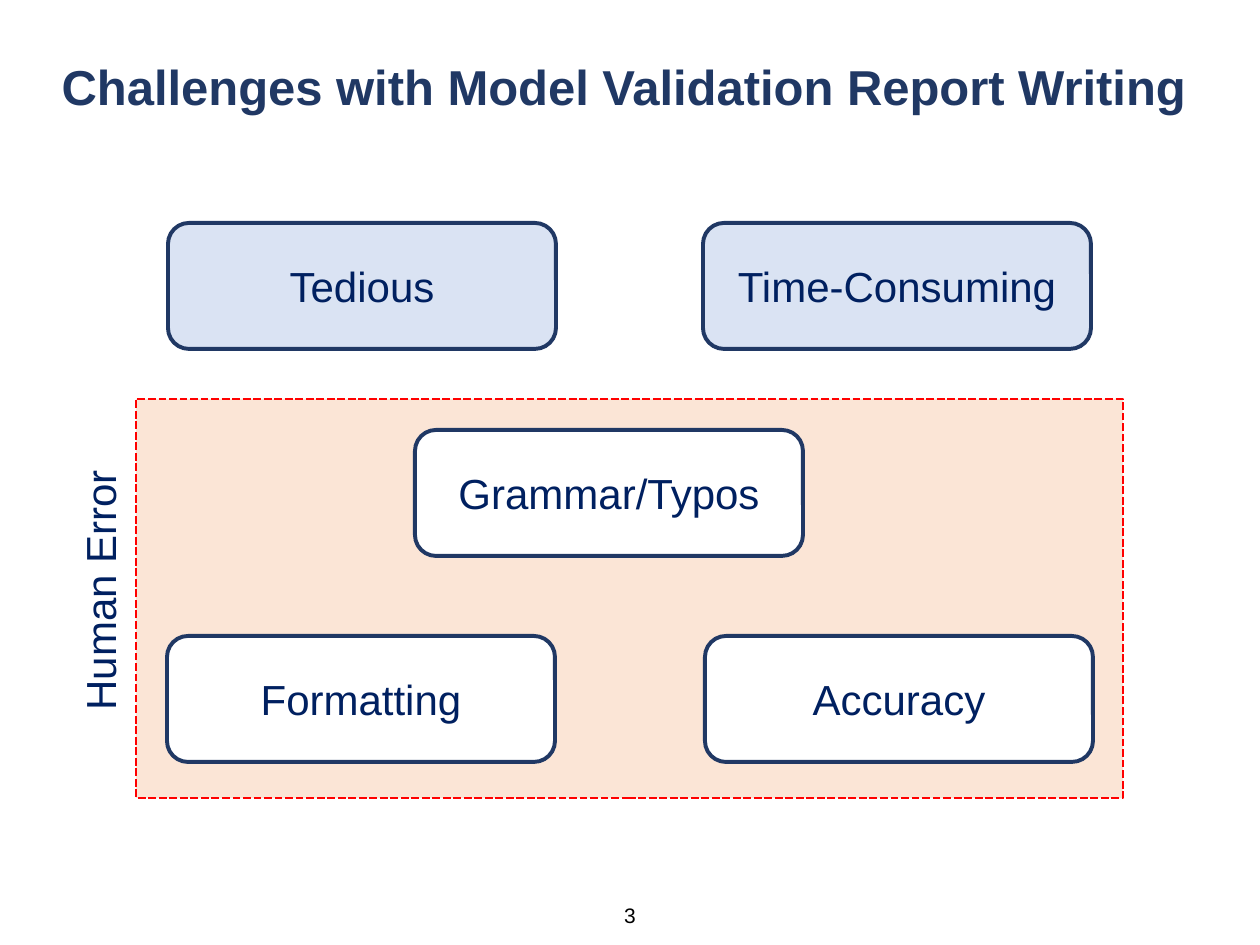
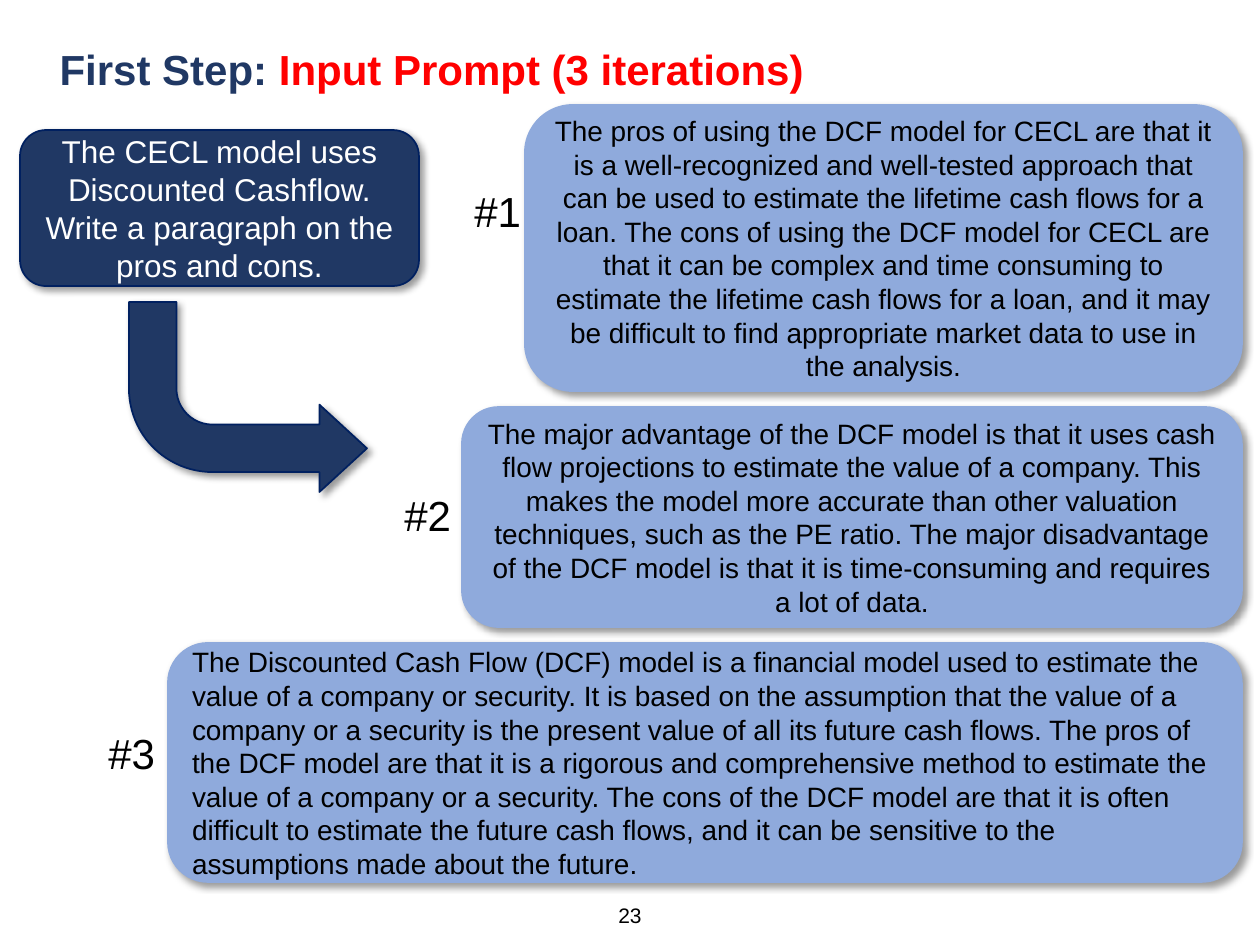
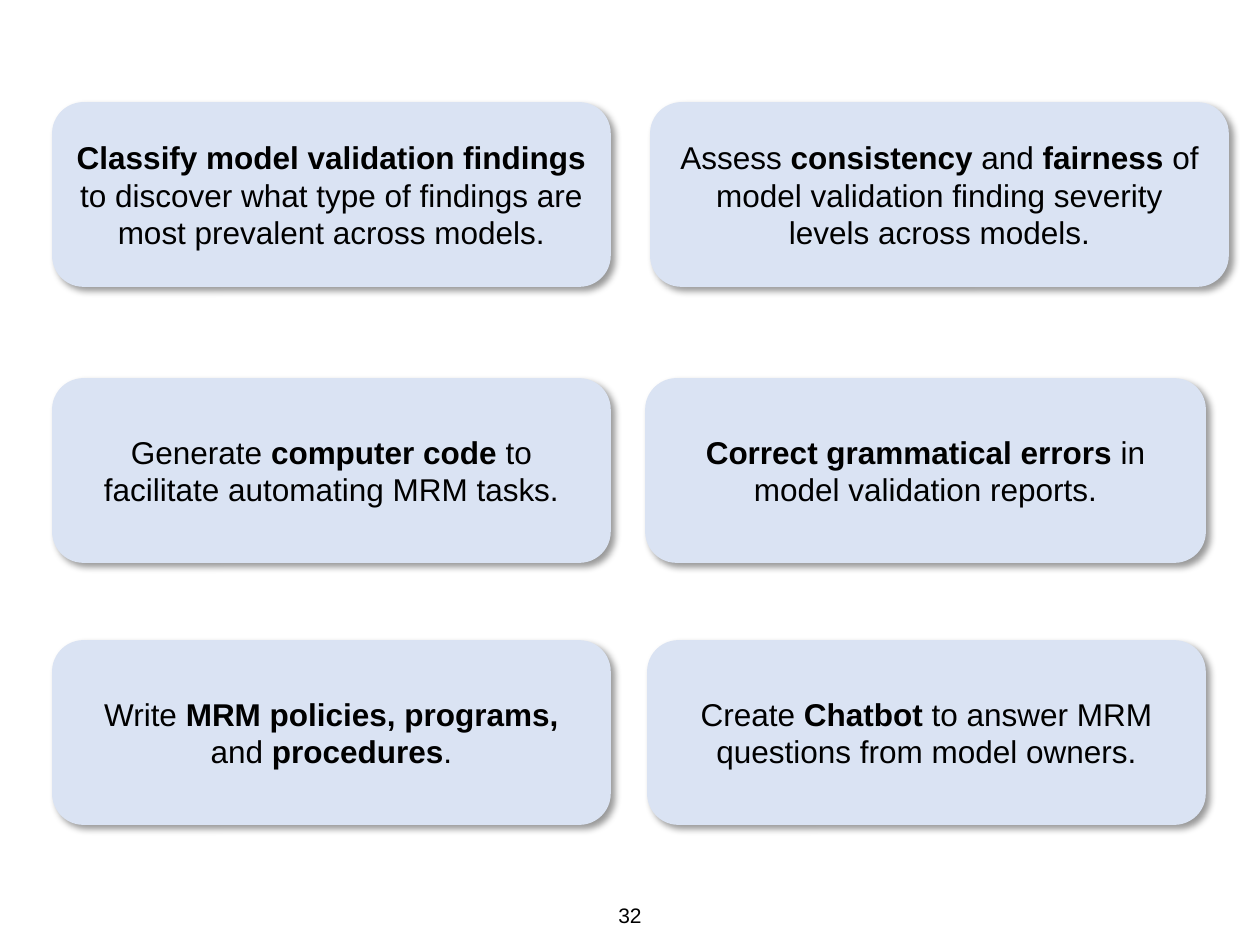
import pptx
import pptx.dml.color
import pptx.enum.dml
import pptx.enum.shapes
import pptx.enum.text
import pptx.oxml
import pptx.util

EMU_PER_PX = 914400 / 126
NAVY = "203864"
INK = "002060"
PALE = "DAE3F3"
BLUE = "8FAADC"
PEACH = "FBE5D6"
RED = "FF0000"
WHITE = "FFFFFF"
BLACK = "000000"
FONT = "Arial"
TITLE_ONLY, BLANK = 5, 6
SHAPES = pptx.enum.shapes.MSO_SHAPE
ALIGN = pptx.enum.text.PP_ALIGN
ANCHOR = pptx.enum.text.MSO_ANCHOR
SHADOW = (
    '<a:effectLst xmlns:a="http://schemas.openxmlformats.org/drawingml/2006/main">'
    '<a:outerShdw blurRad="50800" dist="38100" dir="2700000" algn="tl" rotWithShape="0">'
    '<a:srgbClr val="000000"><a:alpha val="40000"/></a:srgbClr>'
    '</a:outerShdw></a:effectLst>'
)


def px(length):
    return pptx.util.Emu(round(length * EMU_PER_PX))


def color(value):
    return pptx.dml.color.RGBColor.from_string(value)


class Deck:
    def __init__(self):
        self.presentation = pptx.Presentation()
        self.presentation.slide_width = px(1260)
        self.presentation.slide_height = px(945)
        self.slide = None

    def new_slide(self, number, layout=TITLE_ONLY):
        layouts = self.presentation.slide_layouts
        self.slide = self.presentation.slides.add_slide(layouts[layout])
        page = self.label(str(number), (609, 903, 42, 25), 12, BLACK, ALIGN.CENTER)
        frame = page.text_frame
        frame.margin_left = frame.margin_right = 0
        frame.margin_top = frame.margin_bottom = 0

    def set_text(self, shape, parts, size, text_color, align=ALIGN.LEFT, bold=False):
        paragraph = shape.text_frame.paragraphs[0]
        paragraph.alignment = align
        font = paragraph.font
        font.name, font.size, font.bold = FONT, pptx.util.Pt(size), bold
        font.color.rgb = color(text_color)
        runs = []
        for part in parts:
            run = paragraph.add_run()
            run.text = part
            runs.append(run)
        return runs

    def title(self, parts, area, size):
        shape = self.slide.shapes.title
        shape.left, shape.top, shape.width, shape.height = map(px, area)
        frame = shape.text_frame
        frame.auto_size = pptx.enum.text.MSO_AUTO_SIZE.NONE
        frame.vertical_anchor = ANCHOR.TOP
        return self.set_text(shape, parts, size, NAVY, bold=True)

    def label(self, text, area, size, text_color, align=ALIGN.LEFT, wrap=True):
        shape = self.slide.shapes.add_textbox(*map(px, area))
        shape.text_frame.word_wrap = wrap
        self.set_text(shape, [text], size, text_color, align)
        return shape

    def shape(self, kind, area, fill, line, line_width=1, shadow=False):
        shape = self.slide.shapes.add_shape(kind, *map(px, area))
        shape.shadow.inherit = False
        shape.fill.solid()
        shape.fill.fore_color.rgb = color(fill)
        shape.line.color.rgb = color(line)
        shape.line.width = pptx.util.Pt(line_width)
        if shadow:
            properties = shape.element.spPr
            properties.replace(properties.effectLst, pptx.oxml.parse_xml(SHADOW))
        return shape

    def card(self, parts, area, fill, line, size, text_color,
             align=ALIGN.CENTER, line_width=1, shadow=True, bold_parts=()):
        shape = self.shape(SHAPES.ROUNDED_RECTANGLE, area, fill, line, line_width, shadow)
        shape.text_frame.word_wrap = True
        shape.text_frame.vertical_anchor = ANCHOR.MIDDLE
        runs = self.set_text(shape, parts, size, text_color, align)
        for index in bold_parts:
            runs[index].font.bold = True


def challenges(deck):
    deck.new_slide(3)
    deck.title(["Challenges with Model Validation Report Writing"], (49, 50, 1179, 72), 28)
    panel = deck.shape(SHAPES.RECTANGLE, (136, 399, 987, 399), PEACH, RED, 1.5)
    panel.line.dash_style = pptx.enum.dml.MSO_LINE.SQUARE_DOT
    for text, left, top, fill in (
        ("Tedious", 168, 223, PALE),
        ("Time-Consuming", 703, 223, PALE),
        ("Grammar/Typos", 415, 430, WHITE),
        ("Formatting", 167, 636, WHITE),
        ("Accuracy", 705, 636, WHITE),
    ):
        deck.card([text], (left, top, 388, 126), fill, NAVY, 24, INK,
                  line_width=2.25, shadow=False)
    side_label = deck.label("Human Error", (68, 467, 77, 256), 24, INK, wrap=False)
    side_label.element.txBody.bodyPr.set("vert", "vert270")


def input_prompt(deck):
    deck.new_slide(23)
    runs = deck.title(["First Step: ", "Input Prompt (3 iterations)"], (47, 37, 1179, 63), 24)
    runs[1].font.color.rgb = color(RED)
    deck.card(["The CECL model uses Discounted Cashflow. Write a paragraph on the pros and cons."],
              (20, 130, 399, 156), NAVY, INK, 18, WHITE)
    arrow = deck.shape(SHAPES.BENT_ARROW, (129, 302, 238, 190), NAVY, INK, shadow=True)
    arrow.rotation = 180
    arrow.element.spPr.xfrm.set("flipH", "1")
    for index, value in enumerate((0.25, 0.23, 0.25, 0.44)):
        arrow.adjustments[index] = value
    answers = (
        ("The pros of using the DCF model for CECL are that it is a well-recognized and "
         "well-tested approach that can be used to estimate the lifetime cash flows for a loan. "
         "The cons of using the DCF model for CECL are that it can be complex and time consuming "
         "to estimate the lifetime cash flows for a loan, and it may be difficult to find "
         "appropriate market data to use in the analysis.",
         (525, 105, 717, 286), ALIGN.CENTER, (462, 179)),
        ("The major advantage of the DCF model is that it uses cash flow projections to estimate "
         "the value of a company. This makes the model more accurate than other valuation "
         "techniques, such as the PE ratio. The major disadvantage of the DCF model is that it is "
         "time-consuming and requires a lot of data.",
         (462, 407, 780, 220), ALIGN.CENTER, (392, 483)),
        ("The Discounted Cash Flow (DCF) model is a financial model used to estimate the value of "
         "a company or security. It is based on the assumption that the value of a company or a "
         "security is the present value of all its future cash flows. The pros of the DCF model "
         "are that it is a rigorous and comprehensive method to estimate the value of a company "
         "or a security. The cons of the DCF model are that it is often difficult to estimate the "
         "future cash flows, and it can be sensitive to the assumptions made about the future.",
         (168, 643, 1074, 239), ALIGN.LEFT, (96, 721)),
    )
    for number, (text, area, align, corner) in enumerate(answers, 1):
        deck.card([text], area, BLUE, BLUE, 16, BLACK, align)
        deck.label(f"#{number}", (*corner, 73, 63), 24, BLACK, wrap=False)


def use_cases(deck):
    deck.new_slide(32, BLANK)
    left_column = (53, 557)
    rows = (
        (103, (651, 577),
         (["Classify model validation findings ",
           "to discover what type of findings are most prevalent across models."], [0]),
         (["Assess ", "consistency ", "and", " fairness ",
           "of model validation finding severity levels across models."], [1, 3])),
        (379, (646, 559),
         (["Generate ", "computer code ", "to facilitate automating MRM tasks."], [1]),
         (["Correct grammatical errors ", "in model validation reports."], [0])),
        (641, (648, 557),
         (["Write ", "MRM policies, programs,", " and ", "procedures", "."], [1, 3]),
         (["Create ", "Chatbot", " to answer MRM questions from model owners."], [1])),
    )
    for top, right_column, *cards in rows:
        for (parts, bold_parts), (left, width) in zip(cards, (left_column, right_column)):
            deck.card(parts, (left, top, width, 183), PALE, PALE, 18, BLACK,
                      bold_parts=bold_parts)


def main():
    deck = Deck()
    challenges(deck)
    input_prompt(deck)
    use_cases(deck)
    deck.presentation.save("out.pptx")


if __name__ == "__main__":
    main()
